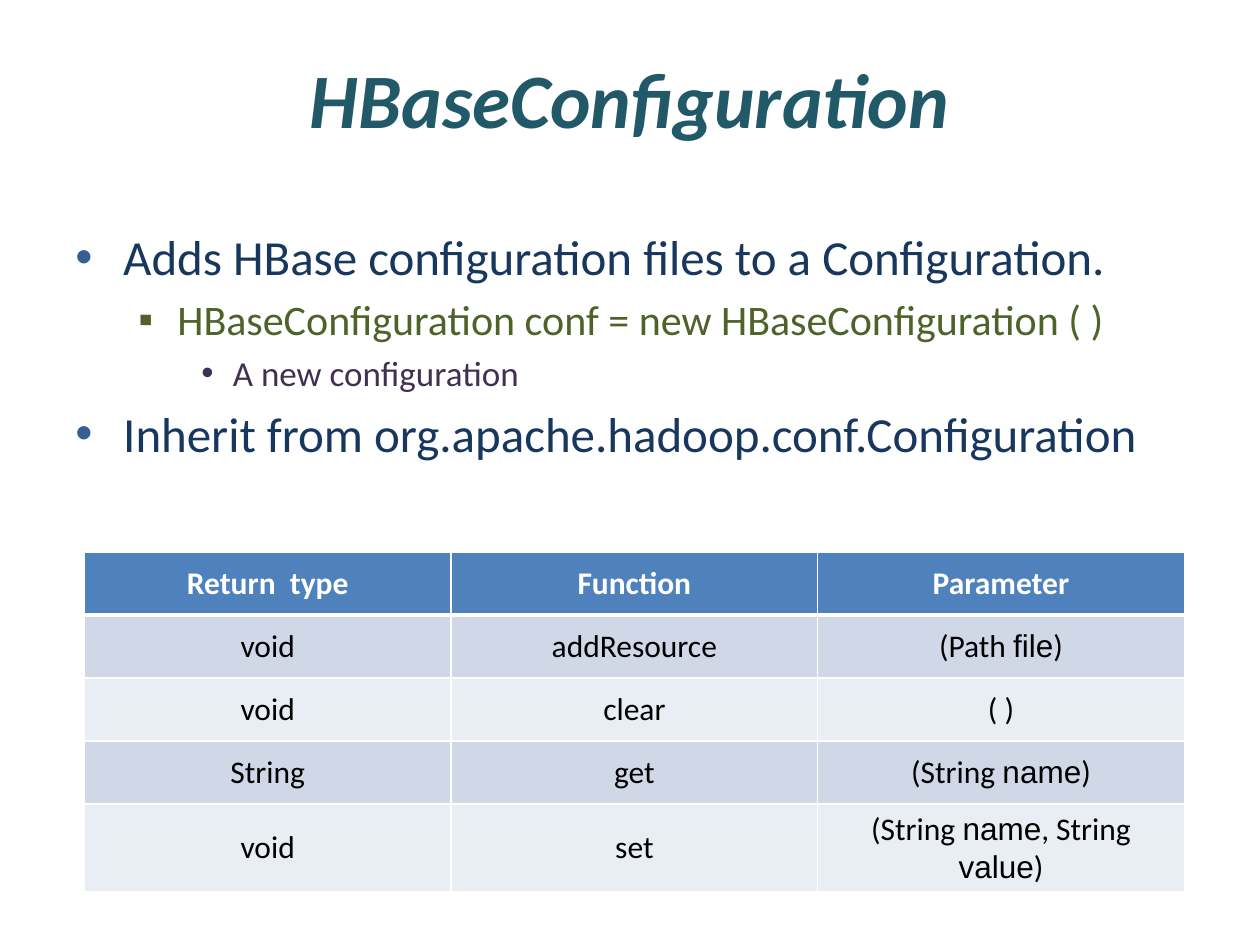
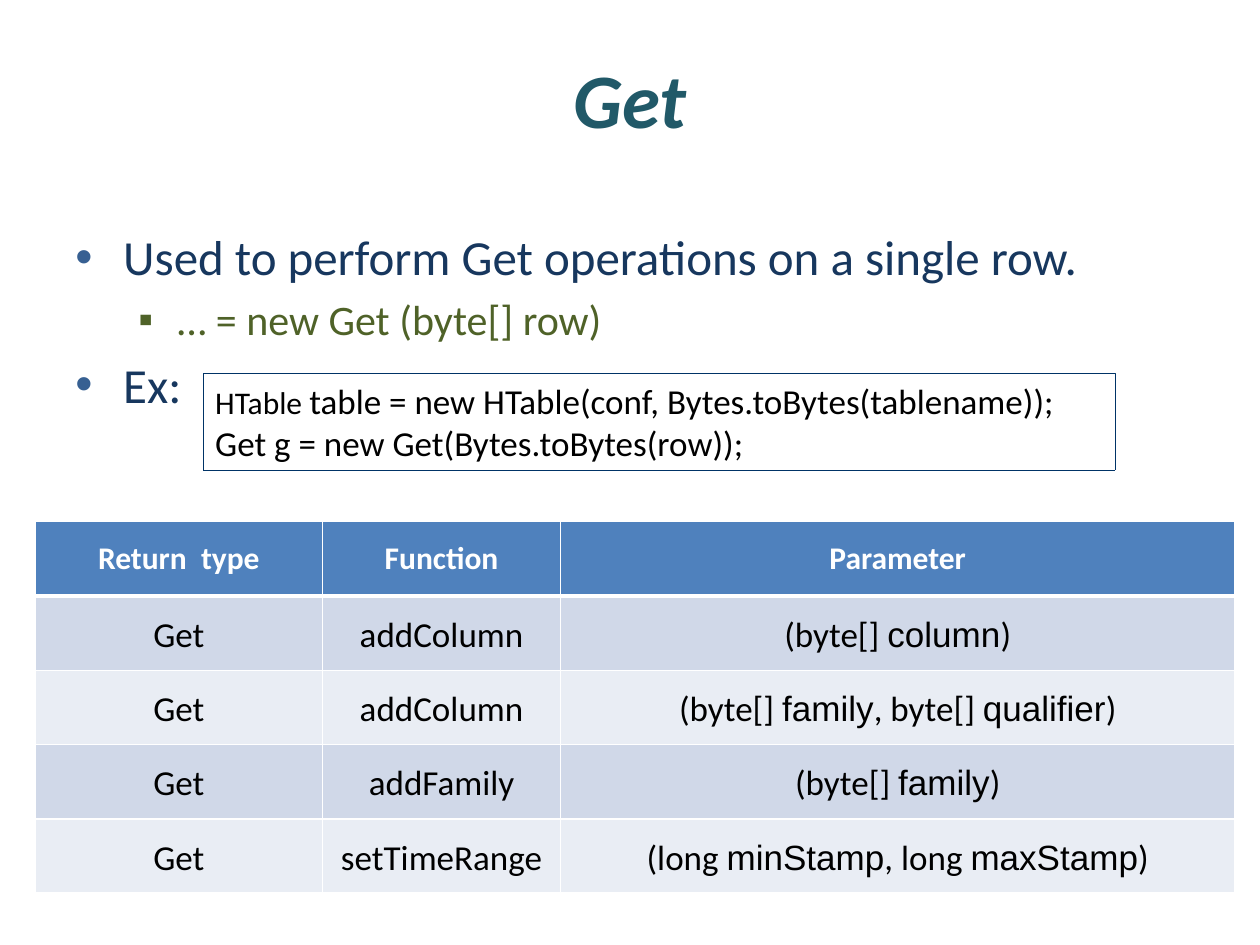
from lxml import etree
from pptx import Presentation
from pptx.dml.color import RGBColor
from pptx.enum.dml import MSO_LINE
from pptx.enum.shapes import MSO_SHAPE
from pptx.enum.text import MSO_ANCHOR, PP_ALIGN
from pptx.oxml.ns import qn
from pptx.util import Inches, Pt

RECTANGLE = MSO_SHAPE.RECTANGLE
DOTTED = MSO_LINE.ROUND_DOT
MIDDLE, TOP = MSO_ANCHOR.MIDDLE, MSO_ANCHOR.TOP
CENTER, LEFT = PP_ALIGN.CENTER, PP_ALIGN.LEFT
BLANK_LAYOUT = 6

FONT, PARAMETER_FONT = "Calibri", "Arial"
WHITE, BLACK = "FFFFFF", "000000"
TITLE_COLOR, HEADER_FILL, CODE_LINE = "215968", "4F81BD", "003366"
ROW_FILLS = ("D0D8E8", "E9EDF4")
HEADERS = ("Return  type", "Function", "Parameter")

# Bullet levels: indent, hang, bullet, bullet colour, text size, text colour
LEVELS = (
    (0.38, 0.38, "•", "376092", 28, "17375E"),
    (0.81, 0.31, "▪", "4F6228", 24, "4F6228"),
    (1.25, 0.25, "•", "403152", 20, "403152"),
)


def color(hex_text):
    return RGBColor.from_string(hex_text)


class Deck:
    """Shared style plus the slide being filled."""

    def __init__(self):
        self.deck = Presentation()
        self.deck.slide_width = Inches(10)
        self.deck.slide_height = Inches(7.5)
        self.page = None

    def span(self, para, text, size, hex_text, bold=False, italic=False, font=FONT):
        run = para.add_run()
        run.text = text
        run.font.name, run.font.size = font, Pt(size)
        run.font.bold, run.font.italic = bold, italic
        run.font.color.rgb = color(hex_text)

    def text_box(self, left, top, width, height, anchor):
        box = self.page.shapes.add_textbox(
            Inches(left), Inches(top), Inches(width), Inches(height))
        box.text_frame.word_wrap = True
        box.text_frame.vertical_anchor = anchor
        return box.text_frame

    def paragraphs(self, frame, items):
        """Yield one paragraph of the frame with each item."""
        for index, item in enumerate(items):
            yield (frame.add_paragraph() if index else frame.paragraphs[0]), item

    def new_page(self, title):
        self.page = self.deck.slides.add_slide(self.deck.slide_layouts[BLANK_LAYOUT])
        para = self.text_box(0.5, 0.3, 9, 0.95, MIDDLE).paragraphs[0]
        para.alignment = CENTER
        self.span(para, title, 44, TITLE_COLOR, bold=True, italic=True)

    def bullets(self, items):
        frame = self.text_box(0.5, 1.75, 9, 4.95, TOP)
        for para, (level, text) in self.paragraphs(frame, items):
            indent, hang, mark, mark_color, size, text_color = LEVELS[level]
            props = para._p.get_or_add_pPr()
            props.set("marL", str(Inches(indent)))
            props.set("indent", str(-Inches(hang)))
            tint = etree.SubElement(props, qn("a:buClr"))
            etree.SubElement(tint, qn("a:srgbClr"), val=mark_color)
            etree.SubElement(props, qn("a:buFont"), typeface=PARAMETER_FONT)
            etree.SubElement(props, qn("a:buChar"), char=mark)
            para.level = level
            if para._p is not frame.paragraphs[0]._p:
                para.space_before = Pt(size * 0.2)
            self.span(para, text, size, text_color)

    def code_box(self, left, top, width, height, lines):
        box = self.page.shapes.add_shape(
            RECTANGLE, Inches(left), Inches(top), Inches(width), Inches(height))
        box.shadow.inherit = False
        box.fill.background()
        box.line.color.rgb = color(CODE_LINE)
        box.line.width = Pt(0.25)
        box.line.dash_style = DOTTED
        box.text_frame.word_wrap = True
        box.text_frame.vertical_anchor = TOP
        for para, spans in self.paragraphs(box.text_frame, lines):
            para.alignment = LEFT
            for text, size in spans:
                self.span(para, text, size, BLACK)

    def borders(self, cell, top, bottom):
        props = cell._tc.get_or_add_tcPr()
        for side, points in (("L", 1), ("R", 1), ("T", top), ("B", bottom)):
            line = etree.SubElement(props, qn("a:ln" + side), w=str(Pt(points)))
            fill = etree.SubElement(line, qn("a:solidFill"))
            etree.SubElement(fill, qn("a:srgbClr"), val=WHITE)

    def method_table(self, left, top, widths, row_height, methods, size, tight=False):
        """Method list; parts between bars in a cell are parameter names."""
        rows = (HEADERS, *methods)
        table = self.page.shapes.add_table(
            len(rows), len(widths), Inches(left), Inches(top),
            Inches(sum(widths)), Inches(row_height * len(rows))).table
        table.horz_banding = False
        for column, width in zip(table.columns, widths):
            column.width = Inches(width)
        for r, row in enumerate(rows):
            table.rows[r].height = Inches(row_height)
            for c, text in enumerate(row):
                cell = table.cell(r, c)
                self.borders(cell, 3 if r == 1 else 1, 1 if r else 3)
                cell.fill.solid()
                cell.fill.fore_color.rgb = color(ROW_FILLS[(r - 1) % 2] if r else HEADER_FILL)
                cell.vertical_anchor = MIDDLE
                para = cell.text_frame.paragraphs[0]
                para.alignment = CENTER
                if tight and r:
                    cell.margin_top = cell.margin_bottom = 0
                    para.line_spacing = 1.1
                for part, words in enumerate(text.split("|")):
                    self.span(para, words, size if r else 18, BLACK if r else WHITE,
                              bold=r == 0, font=PARAMETER_FONT if part % 2 else FONT)


def main():
    show = Deck()

    # Configuration class
    show.new_page("HBaseConfiguration")
    show.bullets((
        (0, "Adds HBase configuration files to a Configuration."),
        (1, "HBaseConfiguration conf = new HBaseConfiguration ( )"),
        (2, "A new configuration"),
        (0, "Inherit from org.apache.hadoop.conf.Configuration"),
    ))
    show.method_table(0.67, 4.38, (2.91, 2.91, 2.91), 0.5, (
        ("void", "addResource", "(Path |file|)"),
        ("void", "clear", "( )"),
        ("String", "get", "(String |name|)"),
        ("void", "set", "(String |name|, String |value|)"),
    ), size=18)

    # Get class
    show.new_page("Get")
    show.bullets((
        (0, "Used to perform Get operations on a single row."),
        (1, "… = new Get (byte[] row)"),
        (0, "Ex:"),
    ))
    show.code_box(1.61, 2.96, 7.24, 0.77, (
        (("HTable ", 18), ("table = new HTable(conf, Bytes.toBytes(tablename));", 20)),
        (("Get g = new Get(Bytes.toBytes(row));", 20),),
    ))
    show.method_table(0.28, 4.14, (2.28, 1.89, 5.35), 0.59, (
        ("Get", "addColumn", "(byte[] |column|)"),
        ("Get", "addColumn", "(byte[] |family|, byte[] |qualifier|)"),
        ("Get", "addFamily", "(byte[] |family|)"),
        ("Get", "setTimeRange", "(long |minStamp|, long |maxStamp|)"),
    ), size=20, tight=True)

    show.deck.save("out.pptx")


if __name__ == "__main__":
    main()
